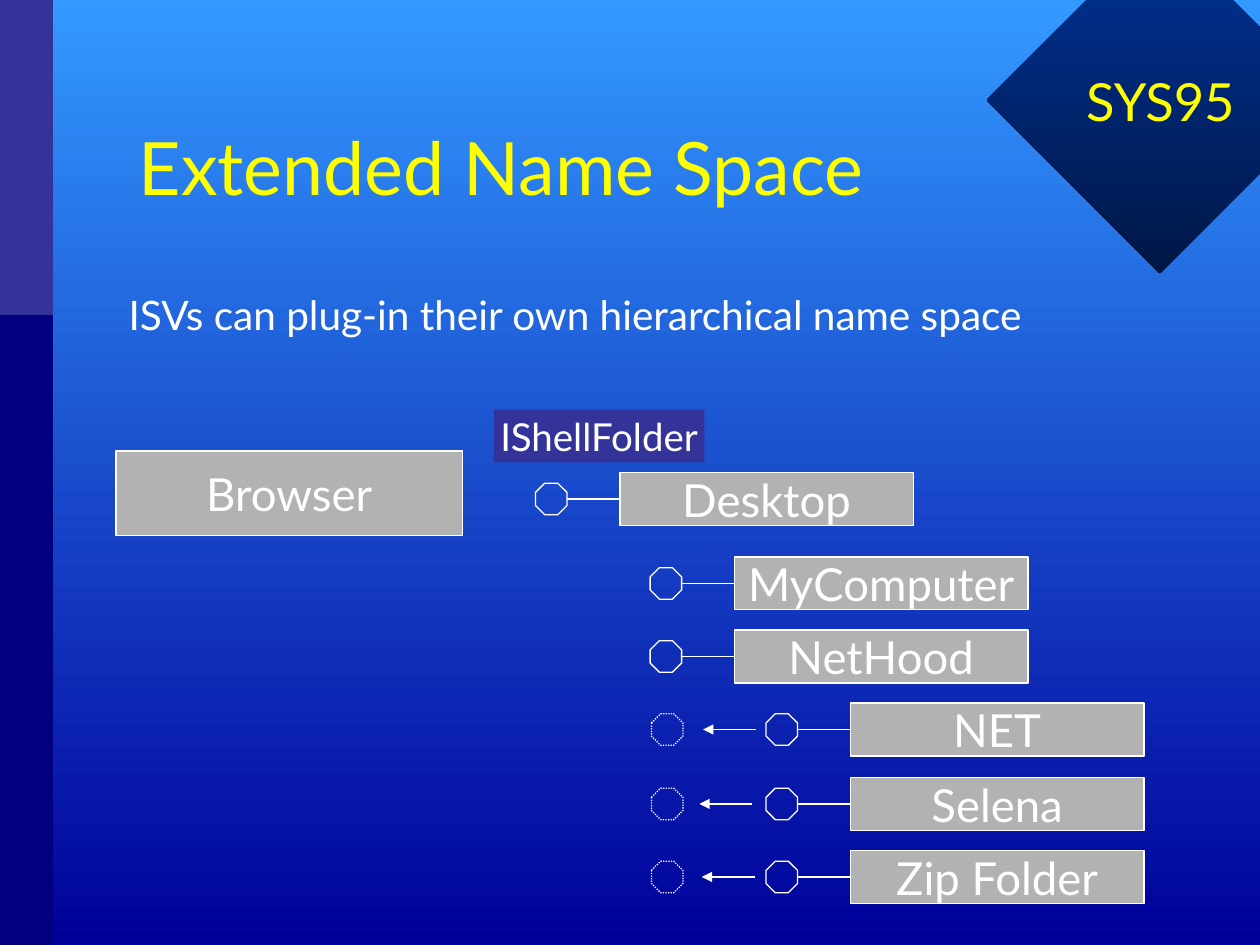
from dataclasses import dataclass

from pptx import Presentation
from pptx.dml.color import RGBColor
from pptx.enum.dml import MSO_LINE
from pptx.enum.shapes import MSO_CONNECTOR, MSO_SHAPE
from pptx.enum.text import MSO_ANCHOR, MSO_AUTO_SIZE, PP_ALIGN
from pptx.oxml.ns import qn
from pptx.util import Inches, Pt
from lxml import etree

RECT, DIAMOND, OCTAGON = MSO_SHAPE.RECTANGLE, MSO_SHAPE.DIAMOND, MSO_SHAPE.OCTAGON
STRAIGHT = MSO_CONNECTOR.STRAIGHT
DOTS = MSO_LINE.ROUND_DOT
LEFT, CENTER = PP_ALIGN.LEFT, PP_ALIGN.CENTER
TOP, MIDDLE = MSO_ANCHOR.TOP, MSO_ANCHOR.MIDDLE
FIXED = MSO_AUTO_SIZE.NONE
WHITE, YELLOW, GREY = "FFFFFF", "FFFF00", "B2B2B2"
NAVY, INDIGO = "000080", "333399"
FONT = "Lato"
WIDTH, HEIGHT, NODE, GAP = 2.33, 0.42, 0.25, 0.42


@dataclass
class Folder:
    name: str
    left: float
    top: float
    arrow: float | None = None


FOLDERS = [
    Folder("Desktop", 4.92, 3.75),
    Folder("MyComputer", 5.83, 4.42),
    Folder("NetHood", 5.83, 5),
    Folder("NET", 6.75, 5.58, 6),
    Folder("Selena", 6.75, 6.17, 5.97),
    Folder("Zip Folder", 6.75, 6.75, 5.99),
]


def color(code: str) -> RGBColor:
    return RGBColor.from_string(code)


def shade(fill, start: str, end: str) -> None:
    fill.gradient()
    fill.gradient_angle = 270
    for stop, code in zip(fill.gradient_stops, (start, end)):
        stop.color.rgb = color(code)


def place(shape, left: float, top: float, width: float, height: float) -> None:
    shape.left, shape.top = Inches(left), Inches(top)
    shape.width, shape.height = Inches(width), Inches(height)


def write(shape, text: str, size: float = 26, code: str = WHITE, align=CENTER,
          anchor=MIDDLE, wrap: bool = True, spacing: float = 1.0):
    frame = shape.text_frame
    frame.auto_size = FIXED
    frame.word_wrap = wrap
    frame.vertical_anchor = anchor
    para = frame.paragraphs[0]
    para.alignment = align
    para.line_spacing = spacing
    para.space_before = Pt(0)
    run = para.add_run()
    run.text = text
    run.font.name, run.font.size = FONT, Pt(size)
    run.font.color.rgb = color(code)
    return para


def draw(slide, kind, left: float, top: float, width: float, height: float,
         fill: str | None = None, line: str | None = None, dash=None):
    shape = slide.shapes.add_shape(
        kind, Inches(left), Inches(top), Inches(width), Inches(height))
    shape.shadow.inherit = False
    if fill:
        shape.fill.solid()
        shape.fill.fore_color.rgb = color(fill)
    else:
        shape.fill.background()
    if line:
        shape.line.color.rgb = color(line)
        shape.line.width = Pt(0.75)
        if dash:
            shape.line.dash_style = dash
    else:
        shape.line.fill.background()
    return shape


def link(slide, start: float, end: float, mid: float, arrow: bool = False):
    line = slide.shapes.add_connector(
        STRAIGHT, Inches(start), Inches(mid), Inches(end), Inches(mid))
    line.line.color.rgb = color(WHITE)
    line.line.width = Pt(0.75)
    props = line._element.spPr
    if arrow:
        etree.SubElement(props.find(qn("a:ln")), qn("a:tailEnd"), type="triangle")
    etree.SubElement(props, qn("a:effectLst"))
    return line


def node(slide, left: float, top: float, dash=None) -> None:
    draw(slide, OCTAGON, left, top, NODE, NODE, line=WHITE, dash=dash)


def add_folder(slide, item: Folder) -> None:
    box = draw(slide, RECT, item.left, item.top, WIDTH, HEIGHT, GREY, WHITE)
    write(box, item.name, wrap=False)
    mid = item.top + HEIGHT / 2
    head = item.top + (HEIGHT - NODE) / 2
    join = link(slide, item.left, item.left - GAP, mid)
    join.begin_connect(box, 1)
    node(slide, item.left - GAP - NODE, head)
    if item.arrow:
        link(slide, item.arrow, item.arrow - GAP, mid, arrow=True)
        node(slide, 5.17, head, DOTS)


def main() -> None:
    deck = Presentation()
    deck.slide_width, deck.slide_height = Inches(10), Inches(7.5)
    slide = deck.slides.add_slide(deck.slide_layouts[1])
    shade(slide.background.fill, "3399FF", "000099")

    title, body = slide.placeholders
    place(title, 1, 0.75, 8, 1.25)
    write(title, "Extended Name Space", size=42, code=YELLOW, align=LEFT, spacing=0.85)
    place(body, 0.92, 2.25, 8.25, 0.67)
    para = write(body, "ISVs can plug-in their own hierarchical name space",
                 size=23.2, align=LEFT, anchor=TOP)
    props = para._p.get_or_add_pPr()
    props.set("marL", str(Inches(0.38)))
    props.set("indent", str(Inches(-0.38)))
    etree.SubElement(props, qn("a:buNone"))

    gem = draw(slide, DIAMOND, 7.83, -0.58, 2.75, 2.75)
    shade(gem.fill, "003399", "001746")
    draw(slide, RECT, 0, 0, 0.42, 7.5, NAVY)
    draw(slide, RECT, 0, 0, 0.42, 2.5, INDIGO)
    badge = slide.shapes.add_textbox(
        Inches(8.42), Inches(0.25), Inches(1.58), Inches(1.17))
    write(badge, "SYS95", size=30, code=YELLOW, spacing=0.85)

    shell = draw(slide, RECT, 0.92, 3.58, 2.75, 0.67, GREY, WHITE)
    write(shell, "Browser", wrap=False)
    label = draw(slide, RECT, 3.92, 3.25, 1.67, 0.42, INDIGO)
    write(label, "IShellFolder", size=22, wrap=False)
    for item in FOLDERS:
        add_folder(slide, item)
    deck.save("out.pptx")


if __name__ == "__main__":
    main()
